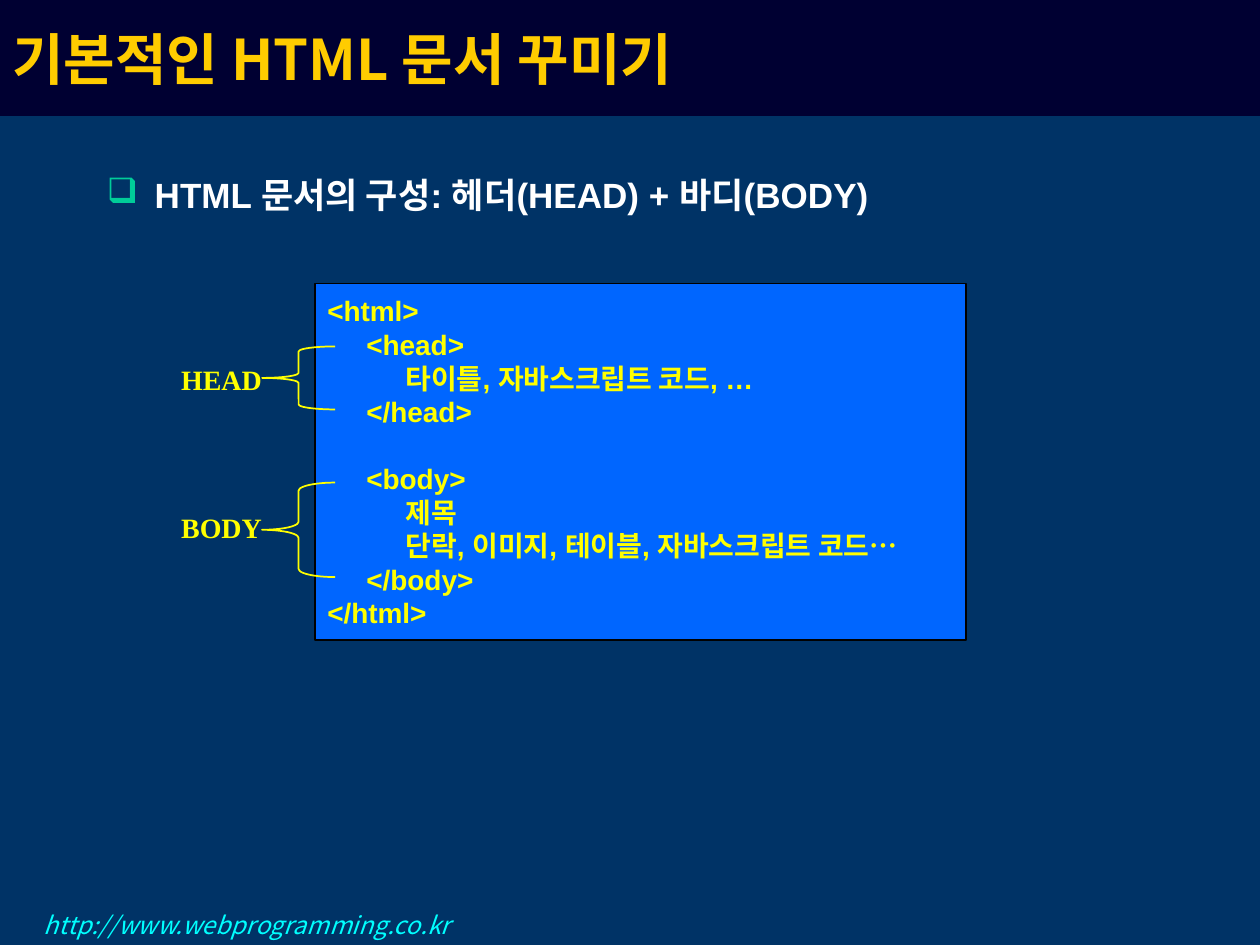
from dataclasses import dataclass

from lxml import etree
from pptx import Presentation
from pptx.dml.color import RGBColor as RGB
from pptx.enum.shapes import MSO_SHAPE as SHAPE
from pptx.enum.text import MSO_ANCHOR as ANCHOR, PP_ALIGN as ALIGN
from pptx.oxml.ns import qn
from pptx.util import Inches, Pt


@dataclass(frozen=True)
class Theme:
    background: RGB = RGB(0x00, 0x33, 0x66)
    band: RGB = RGB(0x00, 0x00, 0x32)
    panel: RGB = RGB(0x00, 0x66, 0xFF)
    outline: RGB = RGB(0x00, 0x00, 0x00)
    title: RGB = RGB(0xFF, 0xCC, 0x00)
    body: RGB = RGB(0xFF, 0xFF, 0xFF)
    code: RGB = RGB(0xFF, 0xFF, 0x00)
    url: RGB = RGB(0x00, 0xFF, 0xFF)
    bullet: str = "00CC99"
    title_size: int = 32
    body_size: int = 20
    code_size: int = 16
    url_size: int = 14
    korean: str = "Noto Sans CJK KR"
    sans: str = "Arial"
    serif: str = "Times New Roman"


theme = Theme()


def add_box(left, top, width, height, preset=None, fill=None, line=None):
    at = Inches(left), Inches(top), Inches(width), Inches(height)
    if preset is None:
        return s.shapes.add_textbox(*at)
    sp = s.shapes.add_shape(preset, *at)
    sp.shadow.inherit = False
    if fill is None:
        sp.fill.background()
    else:
        sp.fill.solid()
        sp.fill.fore_color.rgb = fill
    if line is None:
        sp.line.fill.background()
    else:
        sp.line.color.rgb = line
        sp.line.width = Pt(1)
    return sp


def write(sp, text, size, font, color, bold=True, italic=False, wrap=True):
    tf = sp.text_frame
    tf.text = text
    tf.word_wrap = wrap
    for p in tf.paragraphs:
        p.alignment = ALIGN.LEFT
        for r in p.runs:
            r.font.size = Pt(size)
            r.font.name = font
            r.font.bold = bold
            r.font.italic = italic
            r.font.color.rgb = color
            ea = etree.SubElement(r.font._element, qn("a:ea"))
            ea.set("typeface", theme.korean)
    return tf


prs = Presentation()
prs.slide_width, prs.slide_height = Inches(10), Inches(7.5)
s = prs.slides.add_slide(prs.slide_layouts[6])
s.background.fill.solid()
s.background.fill.fore_color.rgb = theme.background

url = add_box(0.25, 7.17, 3.92, 0.33)
write(url, "http://www.webprogramming.co.kr", theme.url_size, theme.korean,
      theme.url, bold=False, italic=True)

title = add_box(0, 0, 10, 0.92, SHAPE.RECTANGLE, theme.band)
tf = write(title, "기본적인 HTML 문서 꾸미기", theme.title_size, theme.korean, theme.title)
tf.vertical_anchor = ANCHOR.MIDDLE

body = add_box(0.75, 1.33, 8.5, 0.6)
tf = write(body, "HTML 문서의 구성: 헤더(HEAD) + 바디(BODY)", theme.body_size,
           theme.sans, theme.body)
pPr = tf.paragraphs[0]._p.get_or_add_pPr()
pPr.set("marL", str(Inches(0.38)))
pPr.set("indent", str(Inches(-0.38)))
bullet_color = etree.SubElement(pPr, qn("a:buClr"))
etree.SubElement(bullet_color, qn("a:srgbClr")).set("val", theme.bullet)
etree.SubElement(pPr, qn("a:buChar")).set("char", "❑")

code_lines = [
    (0, "<html>"),
    (1, "<head>"),
    (2, "타이틀, 자바스크립트 코드, …"),
    (1, "</head>"),
    (1, "<body>"),
    (2, "제목"),
    (2, "단락, 이미지, 테이블, 자바스크립트 코드…"),
    (1, "</body>"),
    (0, "</html>"),
]
panel = add_box(2.5, 2.25, 5.17, 2.83, SHAPE.RECTANGLE, theme.panel, theme.outline)
tf = write(panel, "\n".join(text for _, text in code_lines), theme.code_size,
           theme.sans, theme.code)
tf.vertical_anchor = ANCHOR.MIDDLE
for p, (level, text) in zip(tf.paragraphs, code_lines):
    p._p.get_or_add_pPr().set("marL", str(Inches(0.31 * level)))
    if text == "<body>":
        p.space_before = Pt(19)

sections = [("HEAD", 2.83, 2.75, 0.5, 0.08), ("BODY", 4, 3.83, 0.75, 0.11)]
for name, label_top, brace_top, brace_height, curve in sections:
    brace = add_box(2.08, brace_top, 0.58, brace_height, SHAPE.LEFT_BRACE, line=theme.code)
    brace.adjustments[0] = curve
    label = add_box(1.34, label_top, 0.84, 0.37)
    write(label, name, theme.code_size, theme.serif, theme.code, wrap=False)

prs.save("out.pptx")
